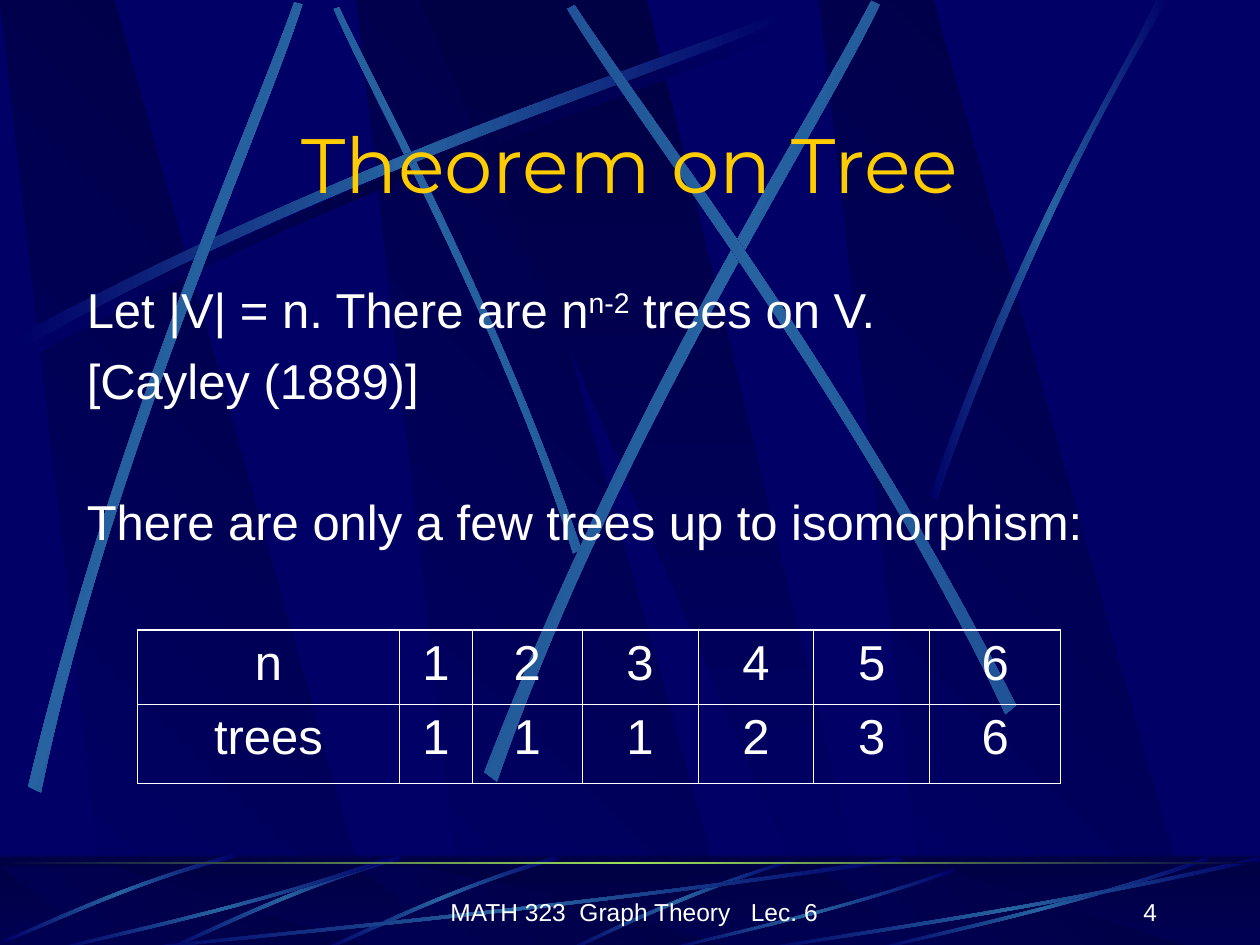
"""Build the "Theorem on Tree" slide with its streaked backdrop, text and table."""
from typing import NamedTuple

from lxml import etree
from pptx import Presentation
from pptx.dml.color import RGBColor
from pptx.enum import shapes, text
from pptx.oxml import ns
from pptx.util import Inches, Pt

COLORS = {"base": "000066", "shade": "000044", "streak": "2663A0",
          "glow": "9CE157", "title": "FFCC00", "text": "FFFFFF"}
FADE = ("base", "streak", "base")
SHADOW_FADE = ("base", "shade", "base")

Point = tuple[float, float]
ARC = [(0, 0.96), (0.434, 0.43), (0.829, 0.154), (0.995, 0),
       (1, 0.022), (0.834, 0.19), (0.384, 0.5), (0.005, 1)]
STEEP_ARC = [(0, 0.99), (0.4, 0.44), (0.79, 0.17), (0.95, 0),
             (1, 0), (0.52, 0.37), (0.16, 0.81), (0.03, 1)]
LOW_ARC = [(1, 0), (0.5, 0.37), (0.16, 0.82), (0, 0.99),
           (0.03, 1), (0.23, 0.75), (0.68, 0.25), (1, 0.04)]
BAND = [(0.285, 1), (1, 1), (0.3, 0), (0, 0)]
WEDGE = [(0, 0), (0.9, 1), (1, 1), (0.5, 0)]


class Box(NamedTuple):
    """Left, top, width and height in inches."""
    left: float
    top: float
    width: float
    height: float


class Streak(NamedTuple):
    """A curved ray of light inside a box, mirrored and then rotated."""
    box: Box
    rotation: float = 0
    flip_x: bool = False
    flip_y: bool = False
    outline: list[Point] = ARC
    stops: tuple[str, ...] = FADE
    angle: float = 0


class Label(NamedTuple):
    """A single line of text in a box."""
    wording: str
    box: Box
    size: int
    font: str
    color: str
    align: text.PP_ALIGN
    anchor: text.MSO_ANCHOR


UPPER_STREAKS = [
    Streak(Box(0.2, 0.18, 6.08, 2.67), stops=SHADOW_FADE),
    Streak(Box(1.41, 1.35, 4.42, 1.75), 45, flip_x=True, angle=340),
    Streak(Box(0.14, 0.1, 6.08, 2.67)),
    Streak(Box(-1.71, 1.82, 6.08, 2.67), 311.7, angle=20),
    Streak(Box(2.31, 1.6, 6.24, 3.01), 321.6, angle=20),
    Streak(Box(3.23, 1.52, 6.08, 2.67), 34.8, flip_x=True, angle=340),
    Streak(Box(7.38, 0, 1.89, 3.97), outline=STEEP_ARC),
]
LOWER_STREAKS = [
    Streak(Box(4.48, 6.82, 1.8, 0.73), outline=LOW_ARC),
    *[Streak(box, 314.9, flip_x=True) for box in (
        Box(2.58, 6.76, 1.84, 0.83), Box(1.33, 6.76, 1.84, 0.83),
        Box(0.05, 6.71, 1.79, 0.85))],
    *[Streak(box, flip_x=True, flip_y=True) for box in (
        Box(1, 6.8, 6.17, 0.75), Box(0.42, 6.8, 2.67, 0.75), Box(5.27, 6.89, 2.31, 0.66),
        Box(6.92, 6.8, 2.67, 0.75), Box(6, 6.8, 4, 0.75))],
]
LABELS = [
    Label("MATH 323  Graph Theory   Lec. 6", Box(3.45, 6.9, 3.17, 0.5), 14, "Arial", "text",
          text.PP_ALIGN.CENTER, text.MSO_ANCHOR.BOTTOM),
    Label("4", Box(7.2, 6.9, 2.08, 0.5), 14, "Arial", "text",
          text.PP_ALIGN.RIGHT, text.MSO_ANCHOR.BOTTOM),
    Label("Theorem on Tree", Box(0.75, 0.88, 8.5, 0.83), 44, "Montserrat", "title",
          text.PP_ALIGN.CENTER, text.MSO_ANCHOR.MIDDLE),
]
STATEMENT = [
    (7, [("Let |V| = n. There are n", False), ("n-2", True), (" trees on V.", False)]),
    (7, [("[Cayley (1889)]", False)]),
    (47, [("There are only a few trees up to isomorphism:", False)]),
]
ROWS = [["n", "1", "2", "3", "4", "5", "6"], ["trees", "1", "1", "1", "2", "3", "6"]]
COLUMN_WIDTHS = [2.08, 0.58, 0.87, 0.92, 0.92, 0.92, 1.04]
ROW_HEIGHTS = [0.59, 0.63]


def inches(box: Box) -> list[Inches]:
    return [Inches(length) for length in box]


def add_element(parent, tag: str, **attributes):
    return etree.SubElement(parent, ns.qn(tag), {k: str(v) for k, v in attributes.items()})


def finish(shape, stops: tuple[str, ...], angle: float) -> None:
    """Give a shape an even gradient and neither line nor shadow."""
    shape.shadow.inherit = False
    shape.line.fill.background()
    shape.fill.gradient()
    gradient = shape._element.spPr.find(ns.qn("a:gradFill"))
    for child in list(gradient):
        gradient.remove(child)
    gradient.set("rotWithShape", "0")
    stop_list = add_element(gradient, "a:gsLst")
    for index, stop in enumerate(stops):
        position = index * 100000 // (len(stops) - 1)
        add_element(add_element(stop_list, "a:gs", pos=position), "a:srgbClr", val=COLORS[stop])
    add_element(gradient, "a:lin", ang=int(angle * 60000), scaled=0)


def add_outline(slide, box: Box, points: list[Point], stops: tuple[str, ...], angle: float):
    """Draw a closed outline given in fractions of its box."""
    placed = [(Inches(box.left + x * box.width), Inches(box.top + y * box.height))
              for x, y in points]
    builder = slide.shapes.build_freeform(*placed[0])
    builder.add_line_segments(placed[1:], close=True)
    shape = builder.convert_to_shape()
    finish(shape, stops, angle)
    return shape


def bend(segments: list) -> None:
    """Turn three line segments into one cubic curve through their points."""
    curve = etree.Element(ns.qn("a:cubicBezTo"))
    segments[0].addprevious(curve)
    for segment in segments:
        curve.append(segment[0])
        segment.getparent().remove(segment)


def add_streak(slide, streak: Streak) -> None:
    points = [(1 - x if streak.flip_x else x, 1 - y if streak.flip_y else y)
              for x, y in streak.outline]
    shape = add_outline(slide, streak.box, points, streak.stops, streak.angle)
    shape.rotation = streak.rotation
    segments = list(shape._element.iter(ns.qn("a:lnTo")))
    bend(segments[:3])
    bend(segments[4:7])


def add_bands(slide, top: float, height: float) -> None:
    for left in (2.83, 0, 6.5):
        add_outline(slide, Box(left, top, 3.02, height), BAND, ("base", "shade"), 315)
    add_outline(slide, Box(3.33, top, 3.61, height), WEDGE, ("shade", "base"), 90)


def add_bar(slide, box: Box, stops: tuple[str, ...], angle: float):
    shape = slide.shapes.add_shape(shapes.MSO_SHAPE.RECTANGLE, *inches(box))
    finish(shape, stops, angle)
    return shape


def add_veil(slide, box: Box) -> None:
    """Darken a strip with a half transparent rectangle."""
    shape = add_bar(slide, box, ("shade", "shade"), 0)
    shape.fill.solid()
    shape.fill.fore_color.rgb = RGBColor.from_string(COLORS["shade"])
    color = next(shape._element.spPr.iter(ns.qn("a:srgbClr")))
    add_element(color, "a:alpha", val=50000)


def set_font(paragraph, size: int, name: str, color: str) -> None:
    paragraph.font.size = Pt(size)
    paragraph.font.name = name
    paragraph.font.color.rgb = RGBColor.from_string(COLORS[color])


def add_label(slide, label: Label) -> None:
    frame = slide.shapes.add_textbox(*inches(label.box)).text_frame
    frame.word_wrap, frame.vertical_anchor = True, label.anchor
    paragraph = frame.paragraphs[0]
    paragraph.text, paragraph.alignment = label.wording, label.align
    set_font(paragraph, label.size, label.font, label.color)


def add_statement(slide, box: Box) -> None:
    frame = slide.shapes.add_textbox(*inches(box)).text_frame
    frame.word_wrap = True
    for index, (space, runs) in enumerate(STATEMENT):
        paragraph = frame.add_paragraph() if index else frame.paragraphs[0]
        paragraph.space_before = Pt(space)
        set_font(paragraph, 28, "Arial", "text")
        for wording, raised in runs:
            run = paragraph.add_run()
            run.text = wording
            if raised:
                run.font._element.set("baseline", "30000")


def add_borders(cell, top_width: float) -> None:
    properties = cell._tc.get_or_add_tcPr()
    widths = {"lnL": 0.45, "lnR": 0.45, "lnT": top_width, "lnB": 0.45}
    for index, (side, width) in enumerate(widths.items()):
        line = etree.Element(ns.qn(f"a:{side}"), {"w": str(Pt(width))})
        add_element(add_element(line, "a:solidFill"), "a:srgbClr", val=COLORS["text"])
        properties.insert(index, line)


def add_counts(slide, box: Box) -> None:
    table = slide.shapes.add_table(len(ROWS), len(ROWS[0]), *inches(box)).table
    table.first_row = table.horz_banding = False
    for column, width in zip(table.columns, COLUMN_WIDTHS):
        column.width = Inches(width)
    for r, (row, height) in enumerate(zip(ROWS, ROW_HEIGHTS)):
        table.rows[r].height = Inches(height)
        for c, value in enumerate(row):
            cell = table.cell(r, c)
            cell.fill.background()
            paragraph = cell.text_frame.paragraphs[0]
            paragraph.text, paragraph.alignment = value, text.PP_ALIGN.CENTER
            paragraph.space_before = Pt(7)
            set_font(paragraph, 28, "Arial", "text")
            add_borders(cell, 0.45 if r else 1.08)


def main() -> None:
    presentation = Presentation()
    presentation.slide_width, presentation.slide_height = Inches(10), Inches(7.5)
    slide = presentation.slides.add_slide(presentation.slide_layouts[6])
    slide.background.fill.solid()
    slide.background.fill.fore_color.rgb = RGBColor.from_string(COLORS["base"])
    add_bands(slide, 0, 7.52)
    for streak in UPPER_STREAKS:
        add_streak(slide, streak)
    add_bar(slide, Box(0, 6.8, 10, 0.75), ("shade", "base"), 90)
    add_bands(slide, 6.88, 0.66)
    add_veil(slide, Box(0, 6.79, 10, 0.75))
    for streak in LOWER_STREAKS:
        add_streak(slide, streak)
    add_bar(slide, Box(0, 6.84, 10, 0.02), ("shade", "glow", "shade"), 0)
    for label in LABELS:
        add_label(slide, label)
    add_statement(slide, Box(0.59, 2.17, 9.08, 2.42))
    add_counts(slide, Box(1.09, 5, 7.33, 1.22))
    presentation.save("out.pptx")


if __name__ == "__main__":
    main()
